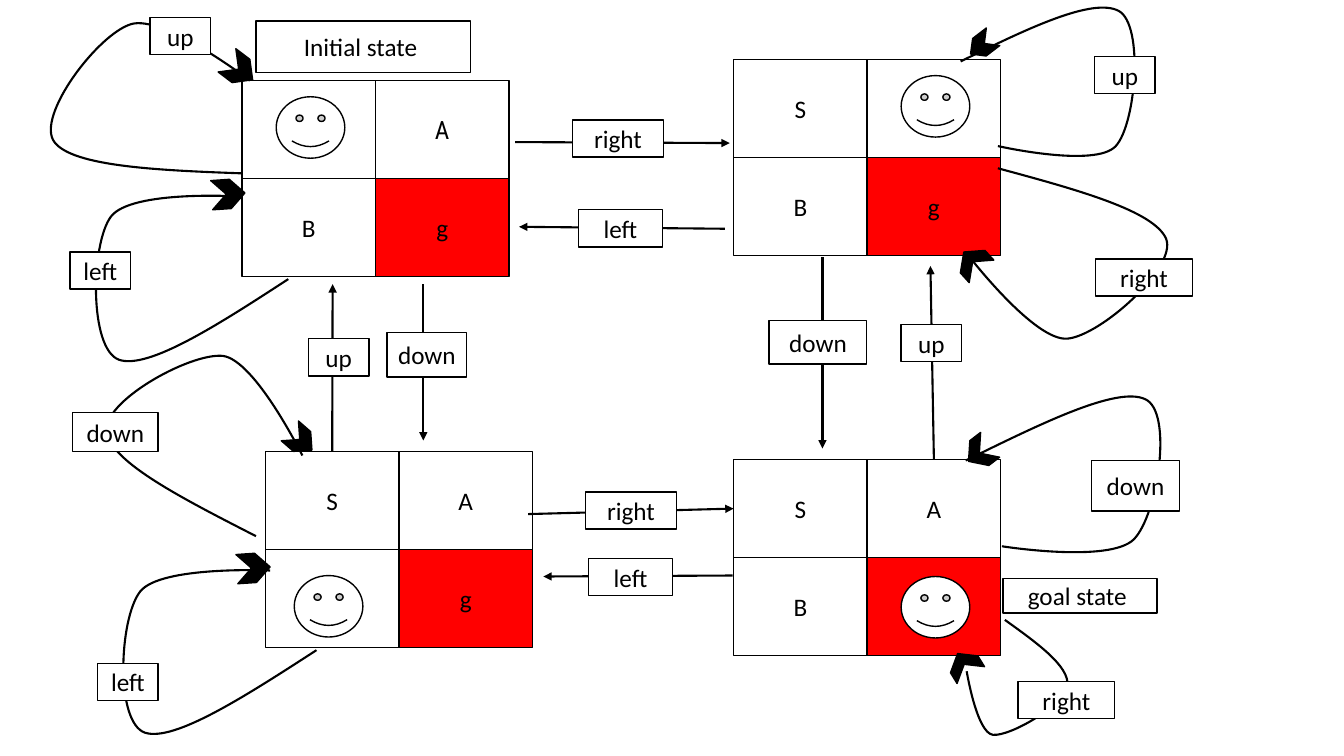
from lxml import etree
from pptx import Presentation
from pptx.dml.color import RGBColor
from pptx.enum.shapes import MSO_CONNECTOR, MSO_SHAPE
from pptx.enum.text import MSO_ANCHOR, PP_ALIGN
from pptx.oxml.ns import qn
from pptx.util import Pt

RECT, FACE, HEAD = MSO_SHAPE.RECTANGLE, MSO_SHAPE.SMILEY_FACE, MSO_SHAPE.CHEVRON
STRAIGHT = MSO_CONNECTOR.STRAIGHT
MIDDLE, CENTER = MSO_ANCHOR.MIDDLE, PP_ALIGN.CENTER
COLORS = {"ink": "000000", "paper": "FFFFFF", "goal": "FF0000"}
FONT, NARROW = "Calibri", "Roboto Condensed"
CELL_W, CELL_H = 95.4, 70

GRIDS = {
    "start": (172.8, 57.6, ["", "A", "B", "g"], "goal"),
    "east": (524, 42.5, ["S", "", "B", "g"], "goal"),
    "south": (189.6, 322.6, ["S", "A", "", "g"], "goal"),
    "end": (524, 328.3, ["S", "A", "B", ""], "goal"),
}
FACES = [(197.3, 69.1), (643.7, 54), (643.7, 411.8), (210.2, 411.1)]
ARROWS = [
    (367.9, 101.5, 521.3, 102.2),
    (517.7, 163.4, 370.8, 162),
    (523.4, 411.1, 388.1, 411.8),
    (587.5, 183.6, 587.5, 320.4),
    (302.4, 203, 302.4, 314.6),
]
LOOPS = [
    [(172.1, 123.8), (112.3, 121.7), (51.8, 118.8), (38.9, 101.5), (25.2, 83.5),
     (69.8, 24.5), (93.6, 17.3), (116.6, 10.1), (178.6, 57.6)],
    [(205.9, 199.4), (156.2, 231.8), (105.8, 264.2), (85, 257), (63.4, 249.1),
     (64.8, 174.2), (79.2, 154.8), (93.6, 135.4), (172.1, 140.4)],
    [(686.2, 43.9), (733, 20.9), (780.5, -2.2), (799.2, 7.9), (817.2, 18),
     (811.4, 88.6), (797, 104.4), (782.6, 120.2), (712.8, 104.4)],
    [(182.9, 383), (131, 356.4), (79.9, 330.5), (76.3, 308.9), (72, 287.3),
     (135.4, 252), (159.1, 254.2), (182.2, 257), (216, 325.4)],
    [(226.1, 464.4), (175, 497.5), (124.6, 529.9), (103.7, 523.4), (82.1, 516.2),
     (85, 442.1), (100.1, 422.6), (114.5, 403.9), (193, 407.5)],
    [(717.8, 442.8), (740.9, 459.4), (763.9, 475.9), (762.5, 489.6), (761, 503.3),
     (721.4, 526.3), (709.2, 524.9), (697.7, 523.4), (690.5, 479.5)],
    [(689.8, 329), (744, 302.4), (797.8, 275.8), (817.9, 285.1), (838.1, 293.8),
     (827.3, 367.2), (810, 385.2), (792.7, 402.5), (715.7, 390.2)],
    [(712.8, 120.2), (769, 135.4), (824.4, 150.5), (833, 170.6), (841, 190.8),
     (786.2, 239.8), (762.5, 241.9), (739.4, 244.1), (692.6, 183.6)],
]
LABELS = [
    ("Initial state ", 182.9, 15.1, 153.4, 36.7),
    ("right", 409, 85.7, 64.8, 26.6),
    ("left", 413.3, 149.8, 59.8, 26.6),
    ("right", 418.3, 351.4, 64.8, 26.6),
    ("left", 420.5, 398.9, 59.8, 26.6),
    ("down", 276.5, 237.6, 56.9, 31.7),
    ("up", 220.3, 241.9, 43.2, 26.6),
    ("up", 107.3, 12.6, 43.2, 26.6),
    ("left", 50, 180, 43.2, 26.6),
    ("down", 51.8, 294.5, 61.2, 28.1),
    ("left", 69.8, 473.8, 43.2, 26.6),
    ("right", 727.2, 486.7, 69.1, 26.6),
    ("down", 779.8, 329, 62.6, 36),
    ("right", 782.6, 185, 69.1, 26.6),
    ("up", 781.9, 40.3, 43.2, 26.6),
    ("down", 549.4, 229, 69.8, 31),
    ("up", 643.7, 231.8, 43.2, 26.6),
    ("goal state ", 716.4, 413.3, 110.2, 24.5),
]
HEADS = [
    (689.8, 312.5, 19.4, 22.3, 142.6),
    (679.7, 463, 18, 23, 238.5),
    (169.2, 395.3, 23.8, 20.9, 356.2),
    (204.5, 305.3, 20.9, 18.7, 41),
    (151.2, 128.2, 23.8, 20.9, 356.2),
    (159.8, 39.6, 23, 20.9, 37.2),
    (685.4, 175, 18.7, 23.8, 227.6),
    (691.2, 24.5, 20.2, 15.8, 142.6),
]


def tint(name):
    """Return the named colour."""
    return RGBColor.from_string(COLORS[name])


def stroke(item, width):
    """Give a shape or line a dark outline."""
    item.line.color.rgb = tint("ink")
    item.line.width = Pt(width)


def block(slide, kind, x, y, w, h, fill="paper", text=""):
    """Draw an outlined shape with optional centred text."""
    shape = slide.shapes.add_shape(kind, Pt(x), Pt(y), Pt(w), Pt(h))
    shape.shadow.inherit = False
    shape.fill.solid()
    shape.fill.fore_color.rgb = tint(fill)
    stroke(shape, 1)
    if text:
        frame = shape.text_frame
        frame.word_wrap = False
        frame.vertical_anchor = MIDDLE
        para = frame.paragraphs[0]
        para.text = text
        para.alignment = CENTER
        para.font.name, para.font.size = FONT, Pt(18)
        para.font.color.rgb = tint("ink")
    return shape


def grid(slide, x, y, marks, last):
    """Draw a two by two board and return its cells."""
    fills = ["paper"] * 3 + [last]
    return [
        block(slide, RECT, x + i % 2 * CELL_W, y + i // 2 * CELL_H,
              CELL_W, CELL_H, fills[i], mark)
        for i, mark in enumerate(marks)
    ]


def arrow(slide, *ends):
    """Draw a straight arrow between two points."""
    line = slide.shapes.add_connector(STRAIGHT, *map(Pt, ends))
    stroke(line, 1.5)
    tail = etree.SubElement(line.line._get_or_add_ln(), qn("a:tailEnd"))
    tail.set("type", "triangle")
    etree.SubElement(line._element.spPr, qn("a:effectLst"))
    return line


def loop(slide, points):
    """Draw an open curve of cubic pieces through its control points."""
    spots = [(Pt(x), Pt(y)) for x, y in points + points[-1:]]
    build = slide.shapes.build_freeform(*spots[0])
    build.add_line_segments(spots[1:], close=False)
    shape = build.convert_to_shape()
    shape.shadow.inherit = False
    shape.fill.background()
    stroke(shape, 1.5)
    steps = list(shape._element.iter(qn("a:lnTo")))
    for i in range(0, len(steps), 3):
        curve = etree.Element(qn("a:cubicBezTo"))
        steps[i].addprevious(curve)
        for step in steps[i:i + 3]:
            curve.append(step[0])
            step.getparent().remove(step)


def main():
    """Build the state diagram."""
    deck = Presentation()
    deck.slide_width, deck.slide_height = Pt(960), Pt(540)
    slide = deck.slides.add_slide(deck.slide_layouts[6])
    boards = {name: grid(slide, *spec) for name, spec in GRIDS.items()}
    boards["start"][1].text_frame.paragraphs[0].font.name = NARROW
    for x, y in FACES:
        block(slide, FACE, x, y, 49, 43.9)
    for ends in ARROWS:
        arrow(slide, *ends)
    right = arrow(slide, 377.3, 367.2, 524, 363.3)
    right.end_connect(boards["end"][0], 1)
    rise = arrow(slide, 667.1, 328.3, 664.6, 190)
    rise.begin_connect(boards["end"][1], 0)
    climb = arrow(slide, 237.3, 322.6, 237.6, 203)
    climb.begin_connect(boards["south"][0], 0)
    for points in LOOPS:
        loop(slide, points)
    for text, *place in LABELS:
        block(slide, RECT, *place, text=text)
    for *place, turn in HEADS:
        block(slide, HEAD, *place, fill="ink").rotation = turn
    deck.save("out.pptx")


if __name__ == "__main__":
    main()
